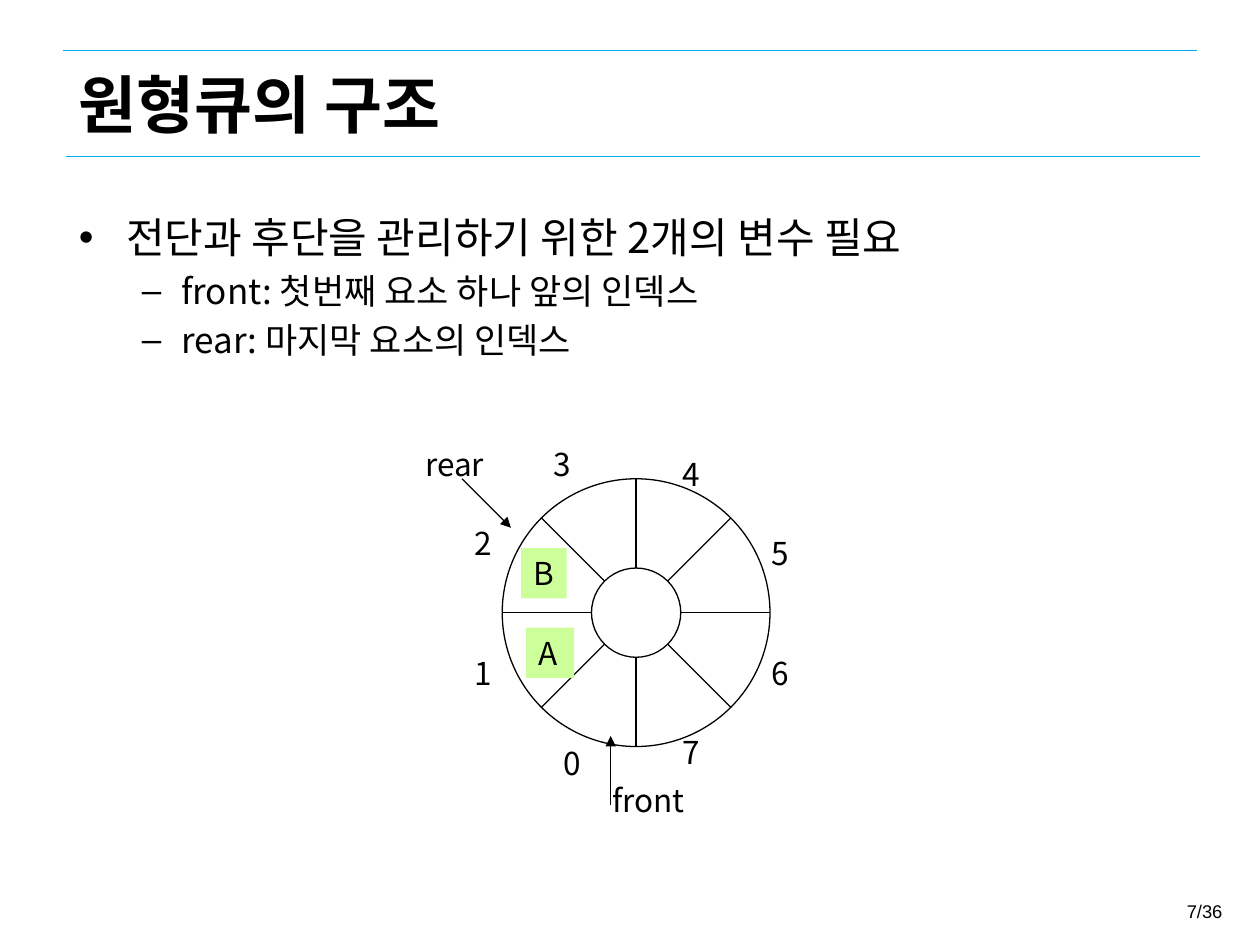
from dataclasses import dataclass
from math import cos, pi, sin

from lxml import etree
from pptx import Presentation
from pptx.dml.color import RGBColor
from pptx.enum.shapes import MSO_CONNECTOR, MSO_SHAPE
from pptx.enum.text import MSO_ANCHOR, MSO_AUTO_SIZE, PP_ALIGN
from pptx.oxml.ns import qn
from pptx.util import Pt

STRAIGHT = MSO_CONNECTOR.STRAIGHT
OVAL, RECTANGLE = MSO_SHAPE.OVAL, MSO_SHAPE.RECTANGLE
LEFT, RIGHT = PP_ALIGN.LEFT, PP_ALIGN.RIGHT
MIDDLE = MSO_ANCHOR.MIDDLE
FIT_SHAPE, NO_FIT = MSO_AUTO_SIZE.SHAPE_TO_FIT_TEXT, MSO_AUTO_SIZE.NONE
TITLE_ONLY = 5


@dataclass(frozen=True)
class Theme:
    ink: RGBColor = RGBColor(0x00, 0x00, 0x00)
    rule: RGBColor = RGBColor(0x00, 0xAE, 0xEF)
    element: RGBColor = RGBColor(0xCC, 0xFF, 0x99)
    font: str = "Noto Sans CJK KR"
    number_font: str = "Arial"
    title: float = 36
    bullet: float = 24
    sub_bullet: float = 20
    label: float = 18
    number: float = 10.5
    line: float = 0.75


THEME = Theme()


def style(para, size, font=THEME.font, bold=False, align=LEFT):
    para.alignment = align
    para.font.size = Pt(size)
    para.font.bold = bold
    para.font.color.rgb = THEME.ink
    para.font.name = font
    # East Asian glyphs take their own typeface entry
    properties = para._p.pPr.find(qn("a:defRPr"))
    etree.SubElement(properties, qn("a:ea"), typeface=font)


def add_line(shapes, start, end, color=THEME.ink, arrow=False):
    line = shapes.add_connector(STRAIGHT, *(Pt(v) for v in (*start, *end)))
    line.line.color.rgb = color
    line.line.width = Pt(THEME.line)
    if arrow:
        etree.SubElement(line.line._get_or_add_ln(), qn("a:tailEnd"), type="triangle")
    etree.SubElement(line._element.spPr, qn("a:effectLst"))


def add_circle(shapes, center_x, center_y, radius):
    circle = shapes.add_shape(OVAL, Pt(center_x - radius), Pt(center_y - radius),
                              Pt(2 * radius), Pt(2 * radius))
    circle.shadow.inherit = False
    circle.fill.background()
    circle.line.color.rgb = THEME.ink
    circle.line.width = Pt(THEME.line)


def write_label(shape, text, **look):
    frame = shape.text_frame
    frame.word_wrap = False
    frame.auto_size = FIT_SHAPE
    frame.vertical_anchor = MSO_ANCHOR.TOP
    frame.text = text
    style(frame.paragraphs[0], **look)


def add_label(page, text, left, top, width, height=28.8, **look):
    box = page.shapes.add_textbox(Pt(left), Pt(top), Pt(width), Pt(height))
    write_label(box, text, **(look or {"size": THEME.label}))


def add_element(page, text, left, top, width, height=28.8):
    box = page.shapes.add_shape(RECTANGLE, Pt(left), Pt(top), Pt(width), Pt(height))
    box.shadow.inherit = False
    box.fill.solid()
    box.fill.fore_color.rgb = THEME.element
    box.line.fill.background()
    write_label(box, text, size=THEME.label)


def place_title(page, left, top, width, height):
    # Rules above and below the heading
    add_line(page.shapes, (36, top), (684, top), THEME.rule)
    add_line(page.shapes, (38, top + height), (686, top + height), THEME.rule)
    title = page.shapes.title
    title.left, title.top, title.width, title.height = (
        Pt(v) for v in (left, top, width, height))
    frame = title.text_frame
    frame.text = "원형큐의 구조"
    frame.vertical_anchor = MIDDLE
    frame.auto_size = NO_FIT
    style(frame.paragraphs[0], THEME.title, bold=True)


def place_bullets(page, left, top, width, height):
    frame = page.shapes.add_textbox(Pt(left), Pt(top), Pt(width), Pt(height)).text_frame
    frame.word_wrap = True
    # level, mark, type size, indent, hanging part
    main = (0, "•", THEME.bullet, 27, 27)
    sub = (1, "–", THEME.sub_bullet, 58.5, 22.5)
    lines = [
        (main, "전단과 후단을 관리하기 위한 2개의 변수 필요"),
        (sub, "front: 첫번째 요소 하나 앞의 인덱스"),
        (sub, "rear: 마지막 요소의 인덱스"),
    ]
    for index, ((level, mark, size, indent, hanging), text) in enumerate(lines):
        para = frame.add_paragraph() if index else frame.paragraphs[0]
        para.text = text
        para.level = level
        para.space_before = Pt(size * 0.2)
        properties = para._p.get_or_add_pPr()
        properties.set("marL", str(Pt(indent)))
        properties.set("indent", str(-Pt(hanging)))
        etree.SubElement(properties, qn("a:buFont"), typeface=THEME.number_font)
        etree.SubElement(properties, qn("a:buChar"), char=mark)
        style(para, size)


def place_queue(page, left, top, size):
    outer, inner = size / 2, size / 6
    center_x, center_y = left + outer, top + outer

    def on_circle(radius, angle):
        return center_x + radius * cos(angle), center_y + radius * sin(angle)

    # Ring with eight slots
    ring = page.shapes.add_group_shape().shapes
    add_circle(ring, center_x, center_y, outer)
    add_circle(ring, center_x, center_y, inner)
    for slot in range(8):
        angle = slot * pi / 4
        add_line(ring, on_circle(inner, angle), on_circle(outer, angle))

    # Slot numbers, clockwise from the bottom
    offsets = [(28, 148), (-23, 96.5), (-23, 22.5), (22.5, -23),
               (96, -17), (147, 28), (147, 96.5), (96, 142)]
    for slot, (x, y) in enumerate(offsets):
        add_label(page, str(slot), left + x, top + y, 26.6)

    # Pointers and stored elements
    add_line(page.shapes, (left + 62, top + 186.5), (left + 62, top + 147), arrow=True)
    add_label(page, "front", left + 56, top + 169, 62.6)
    add_label(page, "rear", left - 51, top - 23, 56)
    add_element(page, "A", left + 13.7, top + 85, 27.4)
    add_element(page, "B", left + 10.8, top + 39.6, 26)
    add_line(page.shapes, (left - 23, top), (left + 5, top + 28), arrow=True)


def main():
    deck = Presentation()
    deck.slide_width, deck.slide_height = Pt(720), Pt(540)
    page = deck.slides.add_slide(deck.slide_layouts[TITLE_ONLY])
    place_title(page, 37.5, 28.8, 653, 60.5)
    place_bullets(page, 38, 117.5, 648, 356.5)
    place_queue(page, 287, 273.6, 153)
    add_label(page, "7/36", 661, 511, 44.6, 21, size=THEME.number,
              font=THEME.number_font, align=RIGHT)
    deck.save("out.pptx")


if __name__ == "__main__":
    main()
